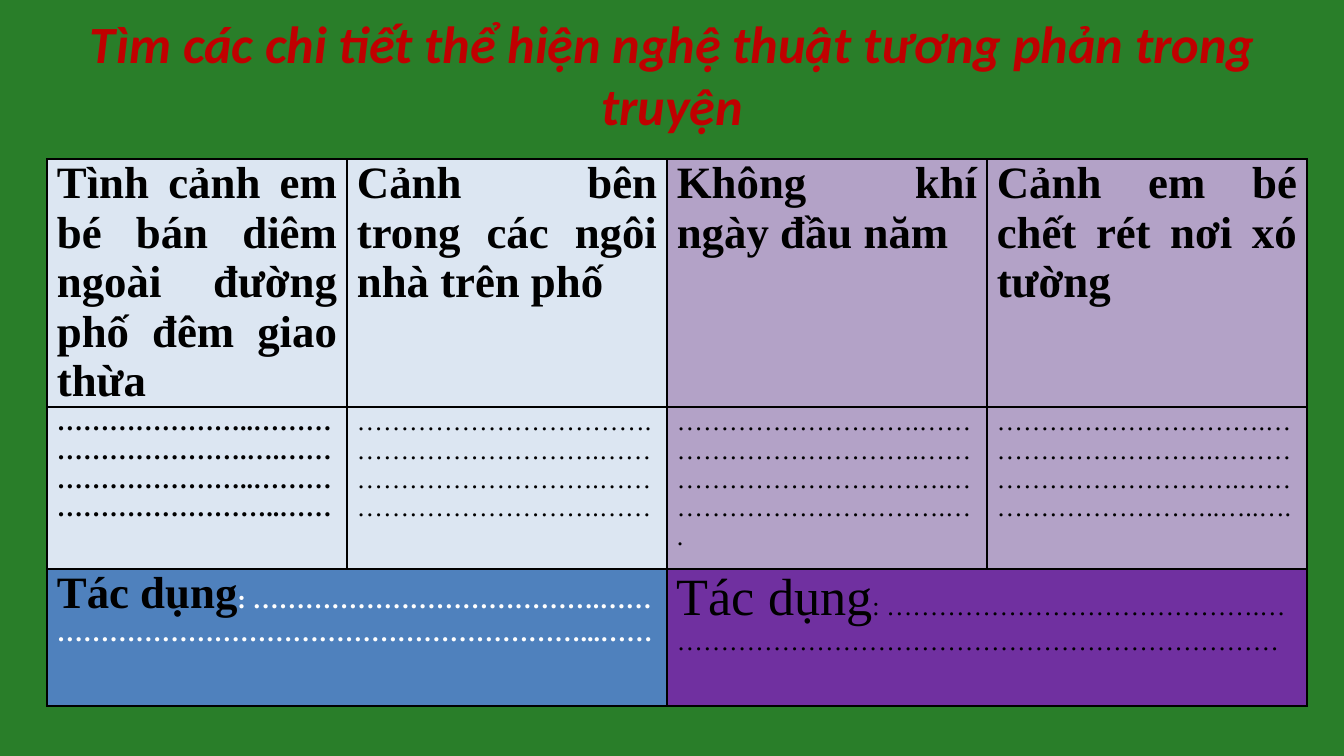
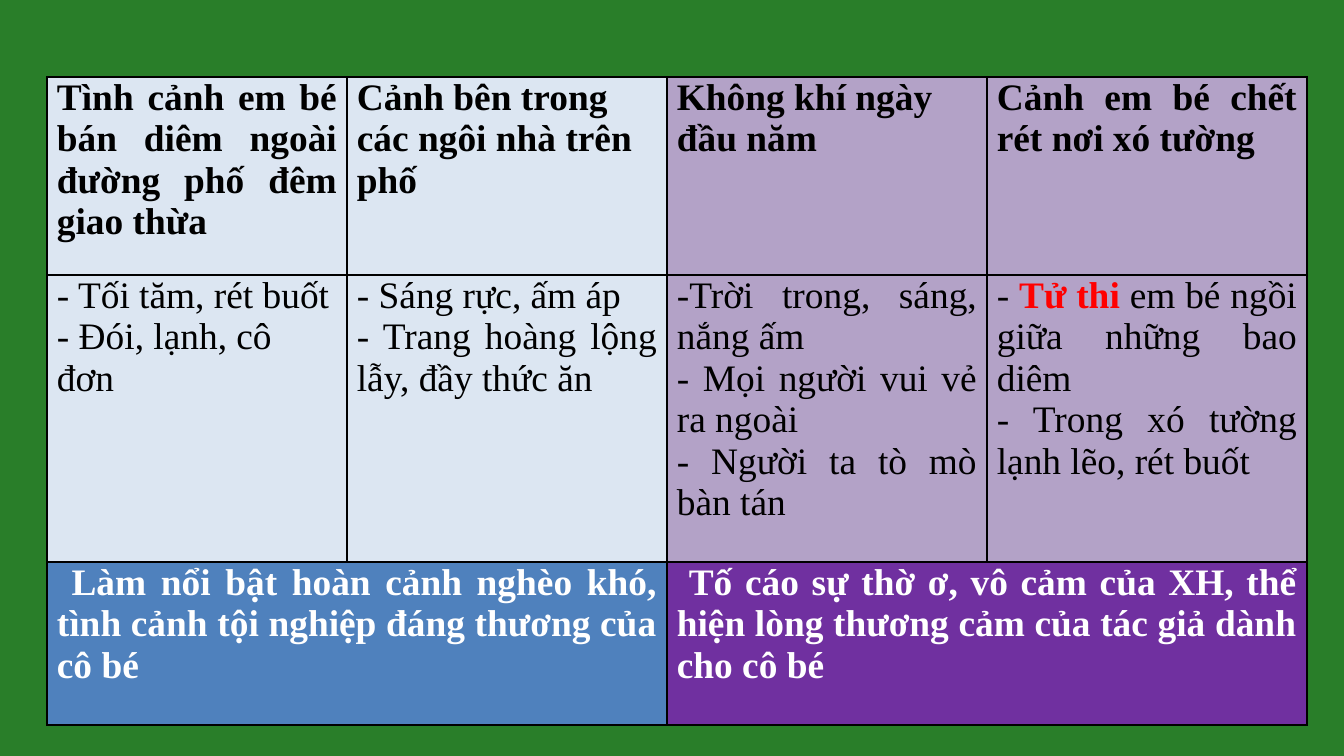
from dataclasses import dataclass

from lxml import etree
from pptx import Presentation
from pptx.dml.color import RGBColor
from pptx.enum.text import MSO_ANCHOR, MSO_AUTO_SIZE, PP_ALIGN
from pptx.oxml.ns import qn
from pptx.util import Emu, Pt

JUSTIFY, LEFT, CENTER = PP_ALIGN.JUSTIFY, PP_ALIGN.LEFT, PP_ALIGN.CENTER
TOP = MSO_ANCHOR.TOP
NO_AUTOFIT = MSO_AUTO_SIZE.NONE
TITLE_ONLY, BLANK = 5, 6


@dataclass(frozen=True)
class Theme:
    background: str = "297E29"
    title: str = "C00000"
    ink: str = "000000"
    light: str = "FFFFFF"
    accent: str = "FF0000"
    left_fill: str = "DCE6F2"
    right_fill: str = "B3A2C7"
    left_footer: str = "4F81BD"
    right_footer: str = "7030A0"
    title_font: str = "Calibri"
    table_font: str = "Times New Roman"
    title_size: int = 28
    label_size: int = 28
    heading_size: int = 24
    answer_size: int = 20
    dots_size: int = 14


@dataclass(frozen=True)
class Span:
    text: str
    size: int
    color: str
    bold: bool = False


@dataclass(frozen=True)
class Line:
    spans: list
    align: int = JUSTIFY


THEME = Theme()
COLUMN_WIDTHS = (300, 320, 320, 320)
TABLE_LEFT = 47
CELL_MARGIN = 10
HEADINGS = (
    "Tình cảnh em bé bán diêm ngoài đường phố đêm giao thừa",
    "Cảnh bên trong các ngôi nhà trên phố",
    "Không khí ngày đầu năm",
    "Cảnh em bé chết rét nơi xó tường",
)
DOTS = (
    ("…………………..………", "………………….….……", "…………………..………", "……………………..……"),
    ("…………………………….", "……………………….……", "……………………….……", "……………………….……"),
    ("……………………….……", "……………………….……", "………………………….…", "………………………….…."),
    ("………………………….…", "…………………….………", "……………………….……", "……………………..…..…."),
)


def px(length):
    return Emu(round(length * 914400 / 134.4))


def style_run(run, span, font):
    run.font.name = font
    run.font.size = Pt(span.size)
    run.font.bold = span.bold
    run.font.color.rgb = RGBColor.from_string(span.color)


def plain(text, size, color=THEME.ink, bold=False, align=JUSTIFY):
    return Line([Span(text, size, color, bold)], align)


def headings(size, aligns):
    return [[plain(text, size, bold=True, align=align)]
            for text, align in zip(HEADINGS, aligns)]


def add_slide(deck, layout):
    slide = deck.slides.add_slide(deck.slide_layouts[layout])
    fill = slide.background.fill
    fill.solid()
    fill.fore_color.rgb = RGBColor.from_string(THEME.background)
    return slide


def set_title(slide, text):
    title = slide.shapes.title
    title.left, title.top, title.width, title.height = map(px, (0, 4, 1344, 118))
    frame = title.text_frame
    frame.text = text
    frame.word_wrap = True
    frame.auto_size = NO_AUTOFIT
    frame.vertical_anchor = TOP
    para = frame.paragraphs[0]
    para.alignment = CENTER
    run = para.runs[0]
    style_run(run, Span(text, THEME.title_size, THEME.title, True), THEME.title_font)
    run.font.italic = True


def format_cell(cell, color):
    cell.margin_left = cell.margin_right = px(CELL_MARGIN)
    cell.margin_top = cell.margin_bottom = 0
    properties = cell._tc.get_or_add_tcPr()
    for side in ("a:lnL", "a:lnR", "a:lnT", "a:lnB"):
        border = etree.SubElement(properties, qn(side), w=str(Pt(1)))
        fill = etree.SubElement(border, qn("a:solidFill"))
        etree.SubElement(fill, qn("a:srgbClr"), val=THEME.ink)
    cell.fill.solid()
    cell.fill.fore_color.rgb = RGBColor.from_string(color)


def write_cell(cell, lines):
    frame = cell.text_frame
    for index, line in enumerate(lines):
        para = frame.add_paragraph() if index else frame.paragraphs[0]
        para.alignment = line.align
        for span in line.spans:
            run = para.add_run()
            run.text = span.text
            style_run(run, span, THEME.table_font)


def add_contrast_table(slide, top, row_heights, heading_cells, detail_cells, effects):
    frame = slide.shapes.add_table(
        3, 4, px(TABLE_LEFT), px(top), px(sum(COLUMN_WIDTHS)), px(sum(row_heights)))
    table = frame.table
    table.first_row = table.horz_banding = False
    for column, width in zip(table.columns, COLUMN_WIDTHS):
        column.width = px(width)
    for row, height in zip(table.rows, row_heights):
        row.height = px(height)
    body = (THEME.left_fill,) * 2 + (THEME.right_fill,) * 2
    footer = (THEME.left_footer,) * 2 + (THEME.right_footer,) * 2
    for row_index, fills in enumerate((body, body, footer)):
        for column_index, color in enumerate(fills):
            format_cell(table.cell(row_index, column_index), color)
    for row_index, contents in enumerate((heading_cells, detail_cells)):
        for column_index, lines in enumerate(contents):
            write_cell(table.cell(row_index, column_index), lines)
    for column_index, lines in zip((0, 2), effects):
        cell = table.cell(2, column_index)
        cell.merge(table.cell(2, column_index + 1))
        write_cell(cell, lines)


def effect_prompt(label_size, color, bold, first, second):
    label = Span("Tác dụng", label_size, THEME.ink, bold)
    return [Line([label, Span(first, THEME.dots_size, color, bold)]),
            plain(second, THEME.dots_size, color, bold)]


def add_question(deck):
    slide = add_slide(deck, TITLE_ONLY)
    details = [[plain(text, THEME.dots_size, bold=index == 0) for text in column]
               for index, column in enumerate(DOTS)]
    effects = (
        effect_prompt(THEME.heading_size, THEME.light, True,
                      ": ………………………………….……",
                      "……………………………………………………...……"),
        effect_prompt(THEME.label_size, THEME.ink, False,
                      ": …………………………………….…",
                      "……………………………………………………………"),
    )
    add_contrast_table(slide, 159, (248, 162, 137),
                       headings(THEME.heading_size, (JUSTIFY,) * 4), details, effects)
    set_title(slide, "Tìm các chi tiết thể hiện nghệ thuật tương phản trong truyện")


def add_answer(deck):
    slide = add_slide(deck, BLANK)
    size = THEME.answer_size
    details = (
        [plain("- Tối tăm, rét buốt", size),
         plain("- Đói, lạnh, cô đơn", size, align=LEFT)],
        [plain("- Sáng rực, ấm áp", size),
         plain("- Trang hoàng lộng lẫy, đầy thức ăn", size)],
        [plain("-Trời trong, sáng, nắng ấm", size),
         plain("- Mọi người vui vẻ ra ngoài", size),
         plain("- Người ta tò mò bàn tán", size)],
        [Line([Span("- ", size, THEME.ink),
               Span("Tử thi ", size, THEME.accent, True),
               Span("em bé ngồi giữa những bao diêm", size, THEME.ink)]),
         plain("- Trong xó tường lạnh lẽo, rét buốt", size)],
    )
    effects = [[plain(text, size, THEME.light, True)] for text in (
        " Làm nổi bật hoàn cảnh nghèo khó, tình cảnh tội nghiệp đáng thương của cô bé",
        " Tố cáo sự thờ ơ, vô cảm của XH, thể hiện lòng thương cảm của tác giả dành cho cô bé",
    )]
    add_contrast_table(slide, 77, (198, 287, 163),
                       headings(size, (JUSTIFY, LEFT, LEFT, JUSTIFY)), details, effects)


def main():
    deck = Presentation()
    deck.slide_width, deck.slide_height = px(1344), px(756)
    add_question(deck)
    add_answer(deck)
    deck.save("out.pptx")


if __name__ == "__main__":
    main()
